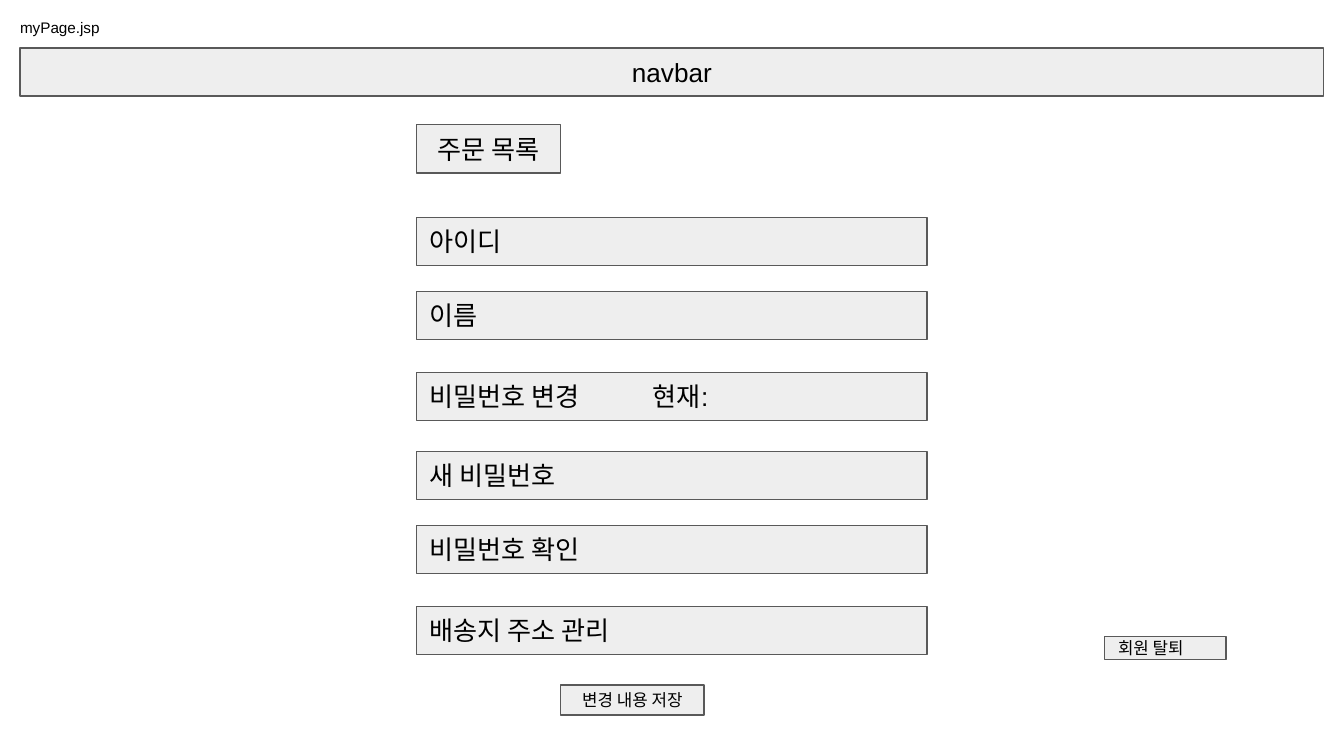
from lxml.etree import SubElement
from pptx import Presentation
from pptx.dml.color import RGBColor
from pptx.enum.shapes import MSO_SHAPE
from pptx.enum.text import MSO_ANCHOR, MSO_AUTO_SIZE, PP_ALIGN
from pptx.oxml.ns import qn
from pptx.util import Cm, Pt

BLACK = RGBColor(0x00, 0x00, 0x00)
PANEL = RGBColor(0xEE, 0xEE, 0xEE)
BORDER = RGBColor(0x59, 0x59, 0x59)
FONT = "Arial"
INSET = Cm(0.25)
BAR_HEIGHT = Cm(0.91)
BUTTON_WIDTH = Cm(2.72)

FIELD_GROUPS = (
    ("아이디", "이름", "비밀번호 변경\t현재:"),
    ("새 비밀번호", "비밀번호 확인", "배송지 주소 관리"),
)
FIELD_OFFSETS = (Cm(0), Cm(1.4), Cm(2.93))
GROUP_PITCH = Cm(4.42)
CURRENT_TAB = Cm(4.22)


def write_text(shape, text, size, align, anchor):
    frame = shape.text_frame
    frame.text = text
    frame.word_wrap = True
    frame.auto_size = MSO_AUTO_SIZE.NONE
    frame.vertical_anchor = anchor
    frame.margin_left = frame.margin_right = INSET
    frame.margin_top = frame.margin_bottom = INSET
    para = frame.paragraphs[0]
    para.alignment = align
    para.line_spacing = 1.0
    for span in para.runs:
        span.font.name = FONT
        span.font.size = Pt(size)
        span.font.color.rgb = BLACK
    return para


def add_panel(slide, box, text, size=14, align=PP_ALIGN.CENTER):
    """Add a bordered grey rectangle and return its paragraph."""
    panel = slide.shapes.add_shape(MSO_SHAPE.RECTANGLE, *box)
    panel.shadow.inherit = False
    panel.fill.solid()
    panel.fill.fore_color.rgb = PANEL
    panel.line.color.rgb = BORDER
    panel.line.width = Pt(0.75)
    return write_text(panel, text, size, align, MSO_ANCHOR.MIDDLE)


def add_tab_stop(para, position):
    tabs = SubElement(para._p.get_or_add_pPr(), qn("a:tabLst"))
    SubElement(tabs, qn("a:tab"), pos=str(int(position)), algn="l")


def place_title(slide, box, text):
    title = slide.shapes.title
    title.left, title.top, title.width, title.height = box
    write_text(title, text, 8.2, PP_ALIGN.LEFT, MSO_ANCHOR.TOP)


def place_form(slide, box):
    """Place the order button, the account fields and the save button."""
    left, top, width, height = box
    add_panel(slide, (left, top, BUTTON_WIDTH, BAR_HEIGHT), "주문 목록")
    fields_top = top + Cm(1.75)
    for group, labels in enumerate(FIELD_GROUPS):
        for offset, label in zip(FIELD_OFFSETS, labels):
            field_top = fields_top + group * GROUP_PITCH + offset
            para = add_panel(slide, (left, field_top, width, BAR_HEIGHT),
                             label, align=PP_ALIGN.LEFT)
            if "\t" in label:
                add_tab_stop(para, CURRENT_TAB)
    save_height = Cm(0.57)
    add_panel(slide, (left + BUTTON_WIDTH, top + height - save_height,
                      BUTTON_WIDTH, save_height), "변경 내용 저장", size=9)


def build_my_page(deck):
    slide = deck.slides.add_slide(deck.slide_layouts[5])
    place_title(slide, (Cm(0.13), Cm(0.1), Cm(2.57), Cm(0.79)), "myPage.jsp")
    add_panel(slide, (Cm(0.38), Cm(0.91), Cm(24.64), BAR_HEIGHT), "navbar")
    place_form(slide, (Cm(7.87), Cm(2.36), Cm(9.65), Cm(11.16)))
    add_panel(slide, (Cm(20.88), Cm(12.03), Cm(2.29), Cm(0.44)),
              "회원 탈퇴", size=9, align=PP_ALIGN.LEFT)


def main():
    deck = Presentation()
    deck.slide_width = Cm(25.4)
    deck.slide_height = Cm(14.29)
    build_my_page(deck)
    deck.save("out.pptx")


if __name__ == "__main__":
    main()
